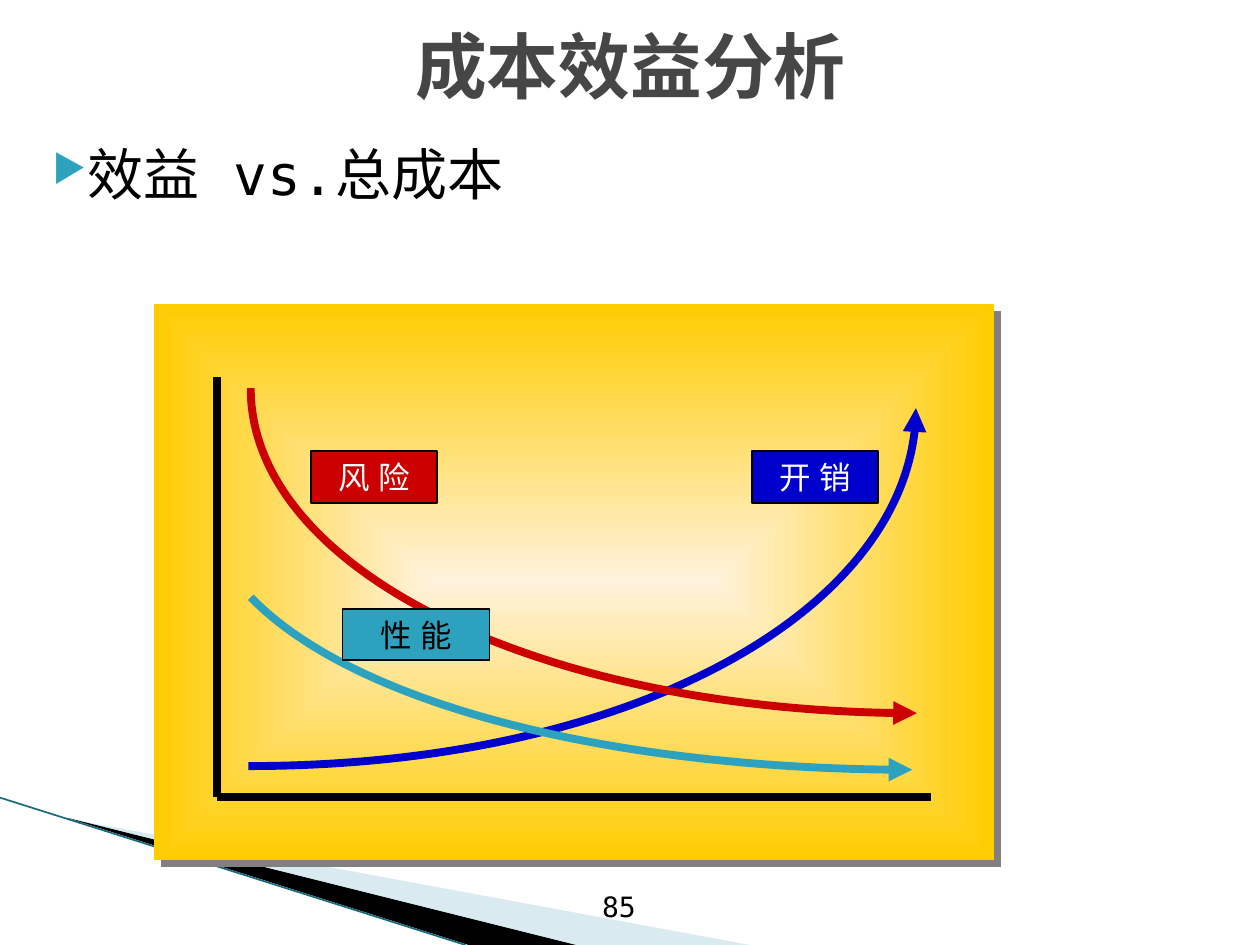
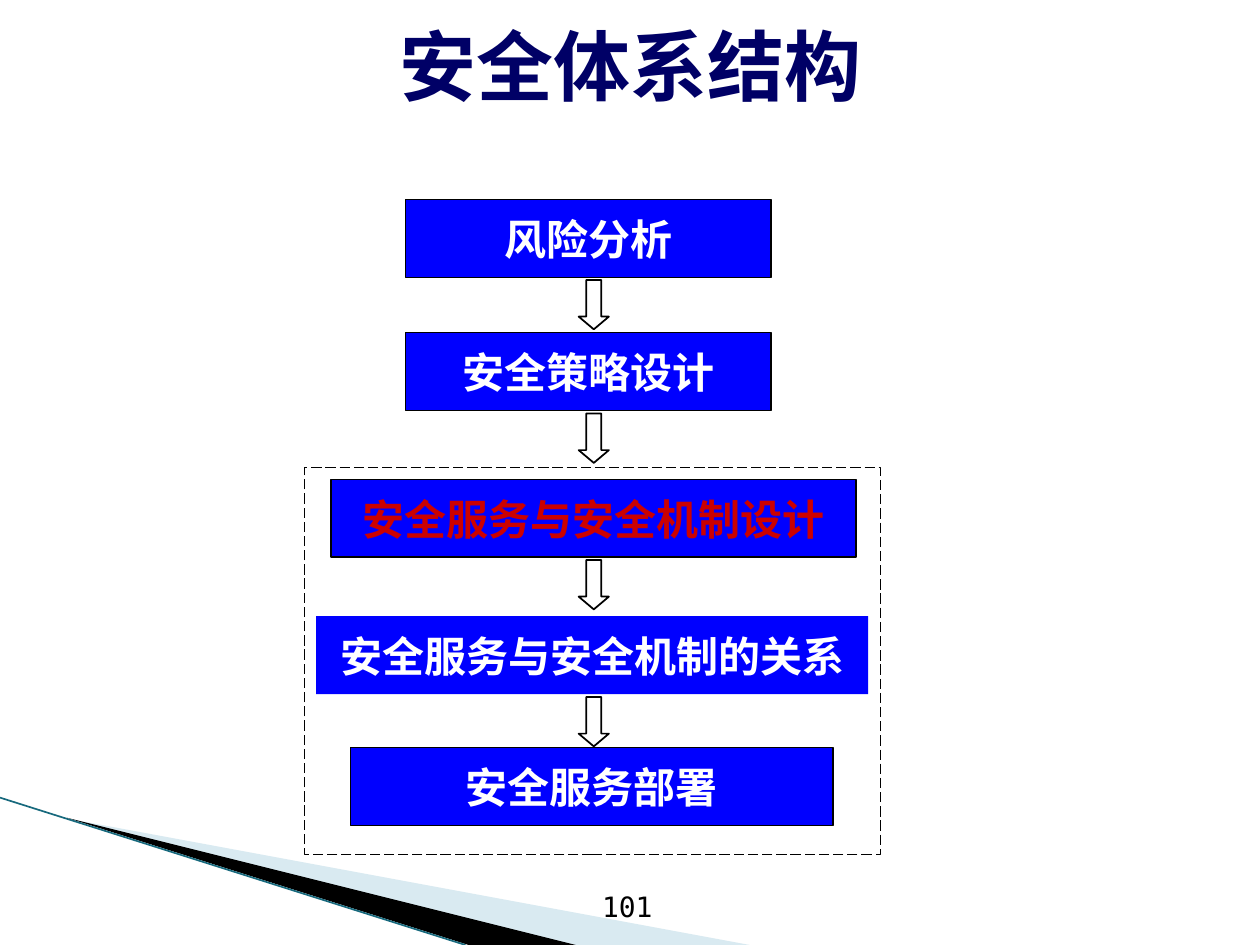
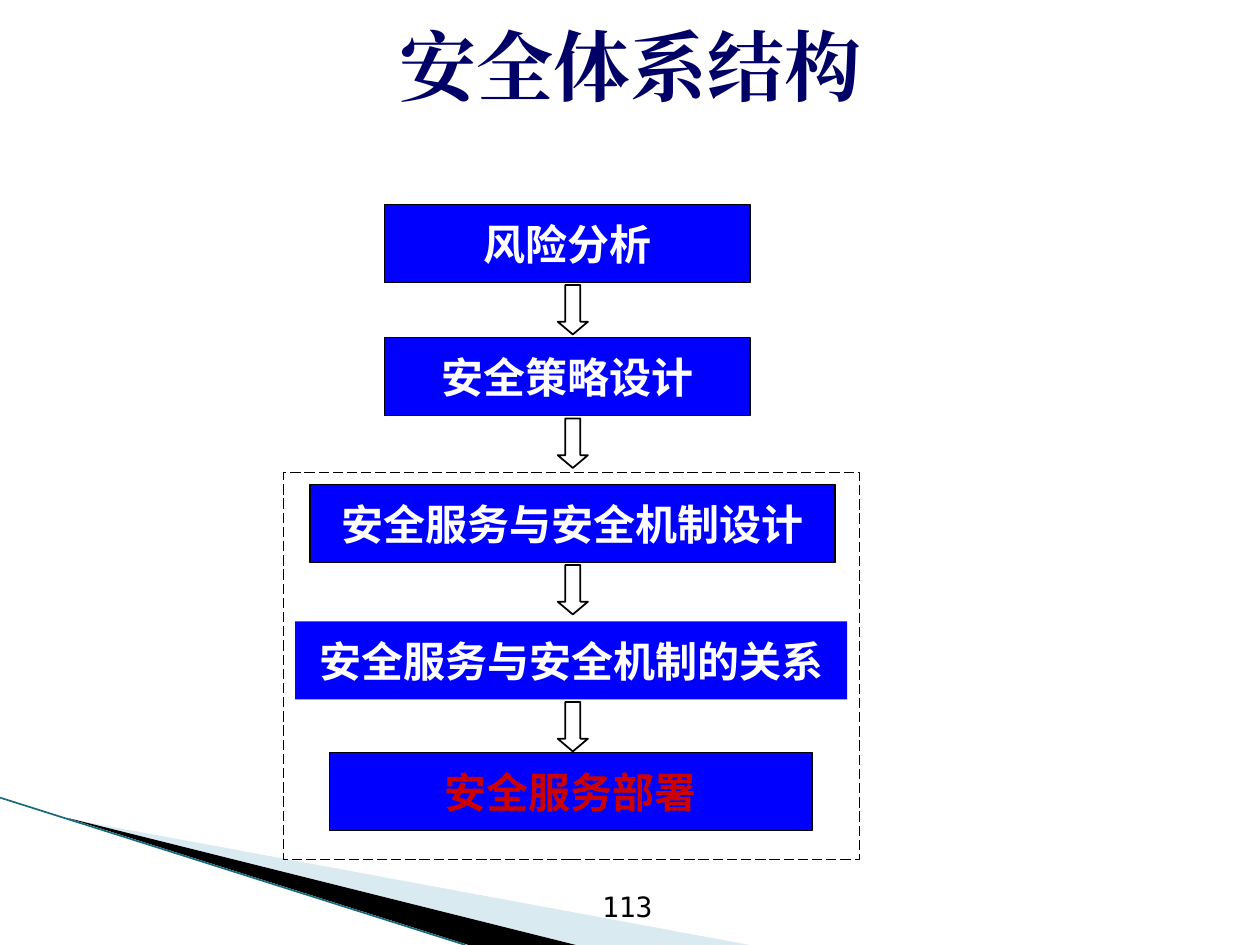
from dataclasses import dataclass

from lxml import etree
from pptx import Presentation
from pptx.dml.color import RGBColor
from pptx.enum.dml import MSO_LINE
from pptx.enum.shapes import MSO_CONNECTOR, MSO_SHAPE
from pptx.enum.text import MSO_ANCHOR, PP_ALIGN
from pptx.oxml.ns import qn
from pptx.util import Pt

RECTANGLE, DOWN_ARROW = MSO_SHAPE.RECTANGLE, MSO_SHAPE.DOWN_ARROW
STRAIGHT = MSO_CONNECTOR.STRAIGHT
LONG_DASH = MSO_LINE.LONG_DASH
LEFT, CENTER = PP_ALIGN.LEFT, PP_ALIGN.CENTER
TOP, MIDDLE = MSO_ANCHOR.TOP, MSO_ANCHOR.MIDDLE


@dataclass(frozen=True)
class Theme:
    black: str = "000000"
    white: str = "FFFFFF"
    gray: str = "464646"
    navy: str = "000066"
    teal: str = "2DA2BF"
    red: str = "CC0000"
    cost_blue: str = "0000CC"
    step_blue: str = "0000FF"
    gold: str = "FFCC00"
    cream: str = "FFF2DC"
    shadow: str = "808080"
    wedge: str = "A0CBDC"
    wedge_edge: str = "17697D"
    mono: str = "DejaVu Sans Mono"
    serif: str = "Times New Roman"
    label_font: str = "Arial"
    step_font: str = "Cabin"
    title_size: float = 44
    small_title_size: float = 41
    body_size: float = 32
    step_size: float = 24
    label_size: float = 18
    number_size: float = 16
    thin: float = 0.75
    fine: float = 1
    thick: float = 4.5


THEME = Theme()
PAGE_WIDTH, PAGE_HEIGHT = 720, 540
TITLE_BOX = (14.4, 3.6, 692, 67)
BODY_BOX = (14.4, 76.3, 692, 402)
NUMBER_BOX = (337, 504.7, 62.6, 35.3)

# name, colour, text colour, label box, Bezier points; all relative to the panel
TRADE_OFFS = [
    ("开 销", THEME.cost_blue, THEME.white, (341.8, 84.3, 72, 29.5),
     [(54, 264.3), (269, 264.3), (435.4, 172.8), (435.4, 59.8)]),
    ("风 险", THEME.red, THEME.white, (89.8, 84.3, 72, 29.5),
     [(55.3, 48.3), (55.3, 150.5), (221.6, 234), (436, 234)]),
    ("性 能", THEME.teal, THEME.black, (107.8, 174.3, 84, 29.5),
     [(55.3, 167.8), (112.2, 226.8), (259, 266.4), (433.3, 266.4)]),
]

# name, left, top, width, outlined; relative to the flow
STEPS = [
    ("风险分析", 57.6, 0, 208.8, True),
    ("安全策略设计", 57.6, 76.3, 208.8, True),
    ("安全服务与安全机制设计", 15, 160, 300, True),
    ("安全服务与安全机制的关系", 6.5, 238.3, 315.4, False),
    ("安全服务部署", 26, 313.2, 275.8, True),
]
STEP_HEIGHT = 44.6


def color(code):
    return RGBColor.from_string(code)


def points(values):
    return [Pt(value) for value in values]


def add_element(parent, tag, **attributes):
    return etree.SubElement(parent, qn(tag), attributes)


def write(frame, text, font, size, code, bold=False, align=LEFT, anchor=TOP):
    frame.vertical_anchor = anchor
    para = frame.paragraphs[0]
    para.alignment = align
    span = para.add_run()
    span.text = text
    span.font.name, span.font.size, span.font.bold = font, Pt(size), bold
    span.font.color.rgb = color(code)
    add_element(span.font._element, "a:ea", typeface=font)
    return para


def add_text(page, box, *args, **options):
    frame = page.shapes.add_textbox(*points(box)).text_frame
    frame.word_wrap = True
    return write(frame, *args, **options)


def paint(shape, fill=None, line=None, weight=THEME.thin):
    """Set fill and outline, None meaning no paint, and drop the shadow."""
    shape.shadow.inherit = False
    if fill:
        shape.fill.solid()
        shape.fill.fore_color.rgb = color(fill)
    else:
        shape.fill.background()
    if line:
        shape.line.color.rgb = color(line)
        shape.line.width = Pt(weight)
    else:
        shape.line.fill.background()


def add_box(page, kind, box, **style):
    shape = page.shapes.add_shape(kind, *points(box))
    paint(shape, **style)
    return shape


def add_line(page, start, end, code, weight):
    line = page.shapes.add_connector(STRAIGHT, *points(start + end))
    line.line.color.rgb = color(code)
    line.line.width = Pt(weight)
    add_element(line._element.spPr, "a:effectLst")


def add_outline(page, corners, close=True, **style):
    start, *others = [tuple(points(corner)) for corner in corners]
    builder = page.shapes.build_freeform(*start)
    builder.add_line_segments(others, close=close)
    shape = builder.convert_to_shape()
    paint(shape, **style)
    return shape


def add_curve_arrow(page, corners, code):
    """Turn the three segments of an open outline into one cubic curve."""
    shape = add_outline(page, corners, close=False, line=code, weight=THEME.thick)
    outline = next(shape._element.iter(qn("a:path")))
    segments = outline.findall(qn("a:lnTo"))
    curve = add_element(outline, "a:cubicBezTo")
    for segment in segments:
        curve.append(segment[0])
        outline.remove(segment)
    add_element(shape.line._get_or_add_ln(), "a:tailEnd", type="triangle")


def add_corner_wedge(page):
    light = add_outline(page, [(39.6, 468), (428.4, 540), (328.3, 540)],
                        fill=THEME.wedge)
    add_element(next(light._element.iter(qn("a:srgbClr"))), "a:alpha", val="40000")
    add_outline(page, [(38.2, 467.3), (329, 540), (267.8, 540)], fill=THEME.black)
    add_line(page, (0, 455.8), (266, 540), THEME.wedge_edge, 0.95)


def add_page(deck, title, number, font, size, code):
    page = deck.slides.add_slide(deck.slide_layouts[6])
    add_corner_wedge(page)
    add_text(page, TITLE_BOX, title, font, size, code,
             bold=True, align=CENTER, anchor=MIDDLE)
    add_text(page, NUMBER_BOX, number, THEME.mono, THEME.number_size, THEME.black)
    return page


def add_bullet(page, box, text):
    para = add_text(page, box, text, THEME.mono, THEME.body_size, THEME.black)
    properties = para._p.get_or_add_pPr()
    properties.set("marL", str(Pt(28.8)))
    properties.set("indent", str(Pt(-20.2)))
    add_element(add_element(properties, "a:buClr"), "a:srgbClr", val=THEME.teal)
    add_element(properties, "a:buSzPct", val="68000")
    add_element(properties, "a:buChar", char="▶")


def add_glowing_panel(page, box):
    """Add a panel that fades to its middle and has a hard shadow."""
    panel = add_box(page, RECTANGLE, box)
    panel.fill.gradient()
    for stop, code in zip(panel.fill.gradient_stops, (THEME.cream, THEME.gold)):
        stop.color.rgb = color(code)
    gradient = panel._element.spPr.find(qn("a:gradFill"))
    gradient.remove(gradient.find(qn("a:lin")))
    focus = add_element(gradient, "a:path", path="shape")
    add_element(focus, "a:fillToRect", l="50000", t="50000", r="50000", b="50000")
    effects = panel._element.spPr.find(qn("a:effectLst"))
    shadow = add_element(effects, "a:outerShdw", dist=str(Pt(5.7)), dir="2700000",
                         algn="ctr", rotWithShape="0")
    add_element(shadow, "a:srgbClr", val=THEME.shadow)


def add_trade_off_panel(page, box):
    left, top = box[:2]

    def shift(x, y):
        return left + x, top + y

    add_glowing_panel(page, box)
    origin = shift(36, 282)
    for start, end in [(shift(36, 42), origin), (origin, shift(444, 282))]:
        add_line(page, start, end, THEME.black, THEME.thick)
    for name, code, text_code, (x, y, width, height), corners in TRADE_OFFS:
        add_curve_arrow(page, [shift(*corner) for corner in corners], code)
        label = add_box(page, RECTANGLE, (*shift(x, y), width, height),
                        fill=code, line=THEME.black, weight=THEME.fine)
        label.text_frame.margin_top = label.text_frame.margin_bottom = 0
        write(label.text_frame, name, THEME.label_font, THEME.label_size, text_code,
              align=CENTER, anchor=MIDDLE)


def add_step_flow(page, box, current):
    """Draw the steps with arrows between them; current is shown in red."""
    left, top, width, height = box
    frame_top = 153.4
    frame = add_box(page, RECTANGLE, (left, top + frame_top, width, height - frame_top),
                    fill=THEME.white, line=THEME.black)
    frame.line.dash_style = LONG_DASH
    for index, (name, x, y, step_width, outlined) in enumerate(STEPS):
        step = add_box(page, RECTANGLE, (left + x, top + y, step_width, STEP_HEIGHT),
                       fill=THEME.step_blue, line=THEME.black if outlined else None)
        step.text_frame.word_wrap = False
        write(step.text_frame, name, THEME.step_font, THEME.step_size,
              THEME.red if name == current else THEME.white,
              bold=True, align=CENTER, anchor=MIDDLE)
        if index < len(STEPS) - 1:
            arrow_box = (left + width / 2 - 8, top + y + STEP_HEIGHT + 1.6, 17.3, 28.2)
            arrow = add_box(page, DOWN_ARROW, arrow_box,
                            line=THEME.black, weight=THEME.fine)
            arrow.adjustments[0], arrow.adjustments[1] = 0.5, 0.42


def add_cost_benefit_page(deck):
    page = add_page(deck, "成本效益分析", "85", THEME.mono,
                    THEME.small_title_size, THEME.gray)
    add_bullet(page, BODY_BOX, "效益 vs.总成本")
    add_trade_off_panel(page, (88, 173.5, 480, 318))


def add_architecture_page(deck, number, font, flow_corner, current):
    page = add_page(deck, "安全体系结构", number, font, THEME.title_size, THEME.navy)
    add_step_flow(page, (*flow_corner, 329, 374.4), current)


def main():
    deck = Presentation()
    deck.slide_width, deck.slide_height = Pt(PAGE_WIDTH), Pt(PAGE_HEIGHT)
    add_cost_benefit_page(deck)
    add_architecture_page(deck, "101", THEME.mono, (174.2, 113.8),
                          "安全服务与安全机制设计")
    add_architecture_page(deck, "113", THEME.serif, (162.2, 116.7), "安全服务部署")
    deck.save("out.pptx")


if __name__ == "__main__":
    main()
